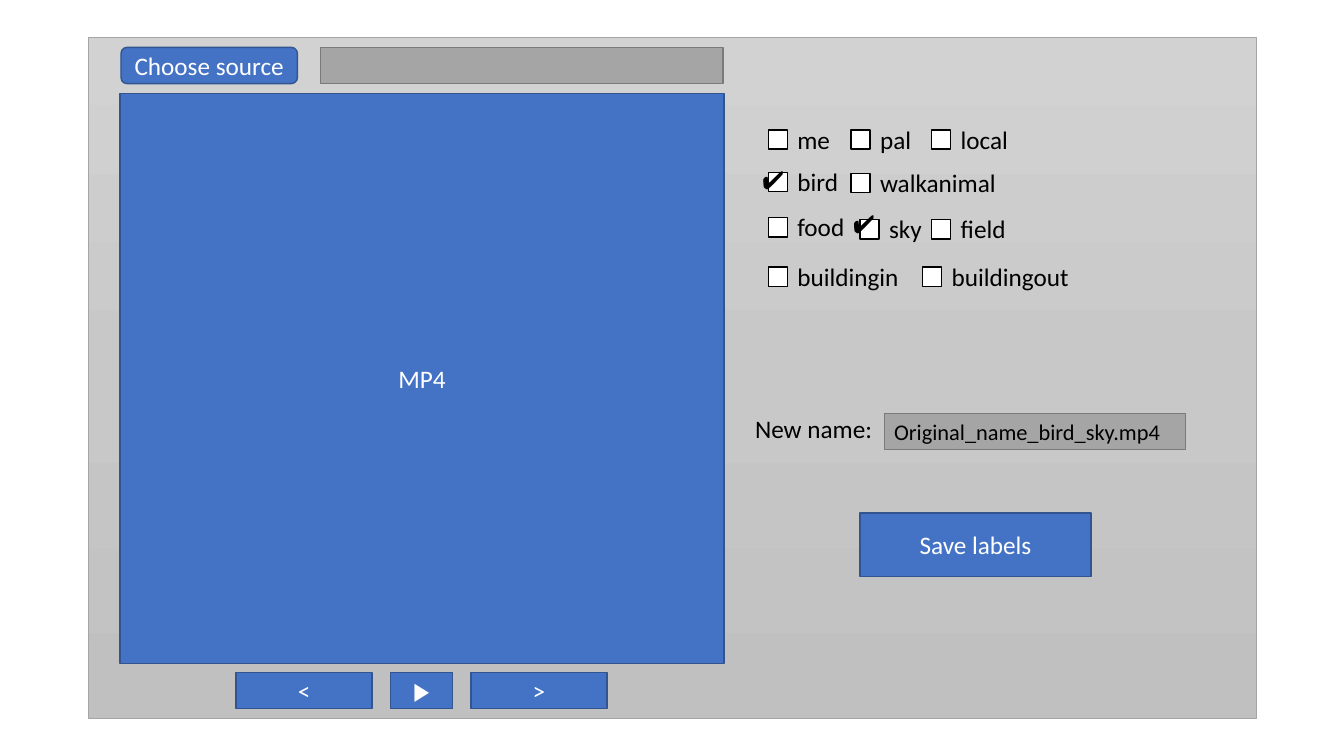
import copy

import pptx
import pptx.dml.color
import pptx.enum.shapes
import pptx.enum.text
import pptx.util

SHAPE = pptx.enum.shapes.MSO_SHAPE
ALIGN = pptx.enum.text.PP_ALIGN
ANCHOR = pptx.enum.text.MSO_ANCHOR
AUTO_SIZE = pptx.enum.text.MSO_AUTO_SIZE

COLORS = {
    "blue": "4472C4", "blue_edge": "325491",
    "gray": "A5A5A5", "gray_edge": "7A7A7A",
    "white": "FFFFFF", "black": "000000",
    "window_top": "D2D2D2", "window_middle": "C8C8C8", "window_bottom": "C0C0C0",
}
EMU_PER_PX = 9144
BOX_SIDE = 19
LABEL_HEIGHT = 40
LABEL_RISE = 11


def apply_format(target, values):
    for attribute, value in values.items():
        setattr(target, attribute, value)


class Mockup:
    font_name = "Calibri"
    shape_format = {"word_wrap": True, "vertical_anchor": ANCHOR.MIDDLE}
    label_format = {"word_wrap": False, "auto_size": AUTO_SIZE.SHAPE_TO_FIT_TEXT}

    def __init__(self, slide):
        self.slide = slide

    def color(self, name):
        return pptx.dml.color.RGBColor.from_string(COLORS[name])

    def px(self, *lengths):
        return [pptx.util.Emu(length * EMU_PER_PX) for length in lengths]

    def caption(self, frame, text, color, size, align, frame_format):
        apply_format(frame, frame_format)
        paragraph = frame.paragraphs[0]
        paragraph.alignment = align
        run = paragraph.add_run()
        run.text = text
        apply_format(run.font, {"name": self.font_name, "size": pptx.util.Pt(size)})
        run.font.color.rgb = self.color(color)

    def panel(self, area, fill, edge, kind=SHAPE.RECTANGLE, parent=None, edge_width=1):
        panel = (parent or self.slide).shapes.add_shape(kind, *self.px(*area))
        panel.shadow.inherit = False
        panel.fill.solid()
        panel.fill.fore_color.rgb = self.color(fill)
        panel.line.color.rgb = self.color(edge)
        panel.line.width = pptx.util.Pt(edge_width)
        return panel

    def window(self, area, shades):
        window = self.panel(area, "gray", "gray", edge_width=0.5)
        window.fill.gradient()
        window.fill.gradient_angle = 270
        stop_list = window.element.xpath(".//a:gsLst")[0]
        stop_list.insert(1, copy.deepcopy(stop_list[0]))
        for stop, (position, shade) in zip(window.fill.gradient_stops, shades):
            stop.position = position
            stop.color.rgb = self.color(shade)

    def button(self, area, text, kind=SHAPE.RECTANGLE):
        button = self.panel(area, "blue", "blue_edge", kind)
        self.caption(button.text_frame, text, "white", 18, ALIGN.CENTER, self.shape_format)

    def field(self, area, text=""):
        field = self.panel(area, "gray", "gray_edge")
        if text:
            self.caption(field.text_frame, text, "black", 16, ALIGN.LEFT, self.shape_format)

    def label(self, left, top, width, text, parent=None):
        area = self.px(left, top, width, LABEL_HEIGHT)
        label = (parent or self.slide).shapes.add_textbox(*area)
        self.caption(label.text_frame, text, "black", 18, ALIGN.LEFT, self.label_format)

    def checkbox(self, left, top, label_width, text):
        option = self.slide.shapes.add_group_shape()
        self.label(left + BOX_SIDE, top - LABEL_RISE, label_width, text, option)
        self.panel((left, top, BOX_SIDE, BOX_SIDE), "white", "black", parent=option)


def main():
    presentation = pptx.Presentation()
    presentation.slide_width = pptx.util.Inches(13.33)
    presentation.slide_height = pptx.util.Inches(7.5)
    mockup = Mockup(presentation.slides.add_slide(presentation.slide_layouts[6]))

    mockup.window((88, 37, 1158, 676),
                  [(0, "window_top"), (0.5, "window_middle"), (1, "window_bottom")])

    mockup.button((119, 93, 599, 565), "MP4")
    for left, width, symbol in [(234, 135, "<"), (387, 62, "▶"), (467, 135, ">")]:
        mockup.button((left, 667, width, 36), symbol)
    mockup.button((120, 47, 175, 36), "Choose source", SHAPE.ROUNDED_RECTANGLE)
    mockup.field((318, 47, 399, 36))

    mockup.button((853, 509, 229, 63), "Save labels")
    mockup.field((877, 410, 299, 36), "Original_name_bird_sky.mp4")
    mockup.label(739, 405, 138, "New name:")

    options = [
        (762, 129, 53, "me"), (844, 129, 51, "pal"), (924, 129, 68, "local"),
        (762, 171, 61, "bird"), (844, 172, 136, "walkanimal"),
        (762, 216, 67, "food"), (853, 218, 53, "sky"), (924, 218, 65, "field"),
        (762, 265, 122, "buildingin"), (915, 265, 138, "buildingout"),
    ]
    for option in options:
        mockup.checkbox(*option)
    for left, top in [(746, 158), (836, 202)]:
        mockup.label(left, top, 55, "✔")

    presentation.save("out.pptx")


if __name__ == "__main__":
    main()
